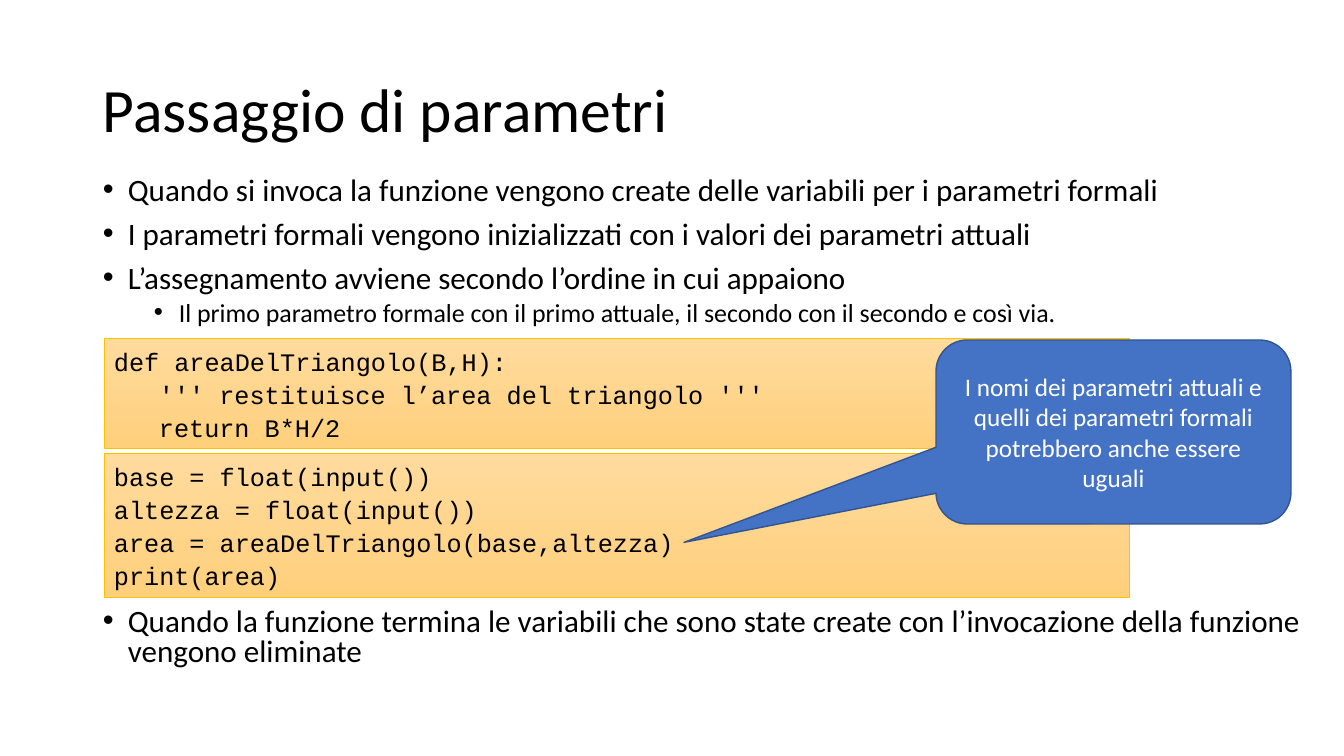
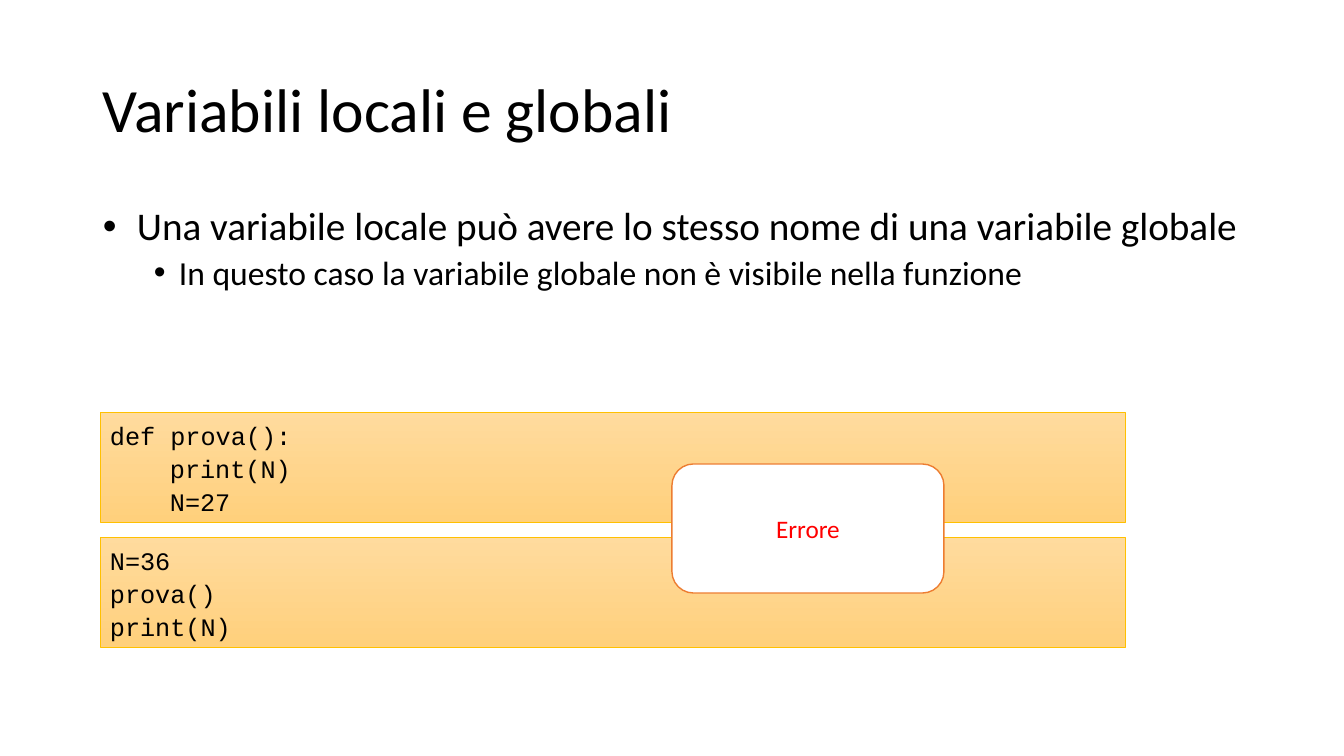
from pptx import Presentation
from pptx.dml.color import RGBColor
from pptx.enum import shapes, text
from pptx.oxml import parse_xml
from pptx.oxml.ns import nsdecls
from pptx.util import Inches, Pt

HUES = {"ink": "000000", "white": "FFFFFF", "sand": "FFDB9E", "amber": "FFD07C",
        "gold": "FFC000", "blue": "4472C4", "navy": "325491",
        "orange": "ED7D31", "red": "FF0000"}
KINDS = shapes.MSO_SHAPE
ANCHORS = text.MSO_ANCHOR
CHAR = 15


def px(n):
    """Turn picture pixels into EMU."""
    return Inches(n / 100.8)


def hue(name):
    """Look up a named colour."""
    return RGBColor.from_string(HUES[name])


def write(frame, line, first=False, size=18, font="Calibri", color="ink", gap=0,
          lead=1.0, left=0, hang=0, bullet=False, align=text.PP_ALIGN.LEFT):
    """Write one formatted paragraph into a text frame."""
    para = frame.paragraphs[0] if first else frame.add_paragraph()
    para.alignment, para.line_spacing, para.space_before = align, lead, Pt(gap)
    props = para._p.get_or_add_pPr()
    props.set("marL", str(px(left)))
    props.set("indent", str(-px(hang)))
    if bullet:
        props.append(parse_xml(f'<a:buFont {nsdecls("a")} typeface="Arial"/>'))
        props.append(parse_xml(f'<a:buChar {nsdecls("a")} char="•"/>'))
    run = para.add_run()
    run.text = line
    run.font.size, run.font.name = Pt(size), font
    run.font.color.rgb = hue(color)


def area(slide, box, anchor=ANCHORS.TOP):
    """Add a wrapping text box and return its frame."""
    frame = slide.shapes.add_textbox(*map(px, box)).text_frame
    frame.word_wrap, frame.vertical_anchor = True, anchor
    return frame


def shape(slide, kind, box, line, width, anchor=ANCHORS.MIDDLE):
    """Add an outlined shape without a shadow."""
    item = slide.shapes.add_shape(kind, *map(px, box))
    item.shadow.inherit = False
    item.line.color.rgb, item.line.width = hue(line), Pt(width)
    item.text_frame.word_wrap = True
    item.text_frame.vertical_anchor = anchor
    return item


def page(deck, title):
    """Add a blank slide with the shared title."""
    slide = deck.slides.add_slide(deck.slide_layouts[6])
    frame = area(slide, (93, 40, 1159, 146), ANCHORS.MIDDLE)
    write(frame, title, first=True, size=44, lead=0.9)
    return slide


def points(slide, box, items, sizes, lead, hang=25):
    """List bullets given as pairs of level and text."""
    frame = area(slide, box)
    for i, (level, line) in enumerate(items):
        write(frame, line, first=i == 0, size=sizes[level], lead=lead,
              gap=5 if level else 10, left=76 if level else hang,
              hang=25 if level else hang, bullet=True)


def code(slide, box, lines):
    """Draw a code panel whose lines are pairs of indent and text."""
    item = shape(slide, KINDS.RECTANGLE, box, "gold", 0.5, ANCHORS.TOP)
    item.fill.gradient()
    item.fill.gradient_angle = 270
    for stop, name in zip(item.fill.gradient_stops, ("sand", "amber")):
        stop.color.rgb = hue(name)
    for i, (depth, line) in enumerate(lines):
        write(item.text_frame, line, first=i == 0, font="Courier New",
              lead=1.1, left=depth * CHAR)


def note(slide, kind, box, line, fill, edge, color):
    """Draw a filled remark with centred text."""
    item = shape(slide, kind, box, edge, 1)
    item.fill.solid()
    item.fill.fore_color.rgb = hue(fill)
    write(item.text_frame, line, first=True, color=color,
          align=text.PP_ALIGN.CENTER)
    return item


def params(deck):
    """Build the slide on passing parameters."""
    slide = page(deck, "Passaggio di parametri")
    sizes = (22.2, 18.5)
    points(slide, (93, 173, 1222, 160), [
        (0, "Quando si invoca la funzione vengono create delle variabili per i parametri formali"),
        (0, "I parametri formali vengono inizializzati con i valori dei parametri attuali"),
        (0, "L’assegnamento avviene secondo l’ordine in cui appaiono"),
        (1, "Il primo parametro formale con il primo attuale, il secondo con il secondo e così via."),
    ], sizes, 0.8)
    points(slide, (93, 604, 1222, 72), [
        (0, "Quando la funzione termina le variabili che sono state create con "
            "l’invocazione della funzione vengono eliminate"),
    ], sizes, 0.8)
    code(slide, (104, 338, 1025, 110), [
        (0, "def areaDelTriangolo(B,H):"),
        (3, "''' restituisce l’area del triangolo '''"),
        (3, "return B*H/2")])
    code(slide, (104, 453, 1025, 144), [
        (0, "base = float(input())"),
        (0, "altezza = float(input())"),
        (0, "area = areaDelTriangolo(base,altezza)"),
        (0, "print(area)")])
    tip = note(slide, KINDS.ROUNDED_RECTANGULAR_CALLOUT, (936, 340, 355, 184),
               "I nomi dei parametri attuali e quelli dei parametri formali "
               "potrebbero anche essere uguali", "blue", "navy", "white")
    for i, value in enumerate((-1.21, 0.6, 0.17)):
        tip.adjustments[i] = value


def scope(deck):
    """Build the slide on local and global variables."""
    slide = page(deck, "Variabili locali e globali")
    points(slide, (93, 202, 1159, 480), [
        (0, "Una variabile locale può avere lo stesso nome di una variabile globale"),
        (1, "In questo caso la variabile globale non è visibile nella funzione"),
    ], (28, 24), 0.9, hang=34)
    code(slide, (100, 412, 1025, 110), [
        (0, "def prova():"), (4, "print(N)"), (4, "N=27")])
    code(slide, (100, 537, 1025, 110), [
        (0, "N=36"), (0, "prova()"), (0, "print(N)")])
    note(slide, KINDS.ROUNDED_RECTANGLE, (672, 464, 272, 129),
         "Errore", "white", "orange", "red")


deck = Presentation()
deck.slide_width, deck.slide_height = px(1344), px(756)
params(deck)
scope(deck)
deck.save("out.pptx")
